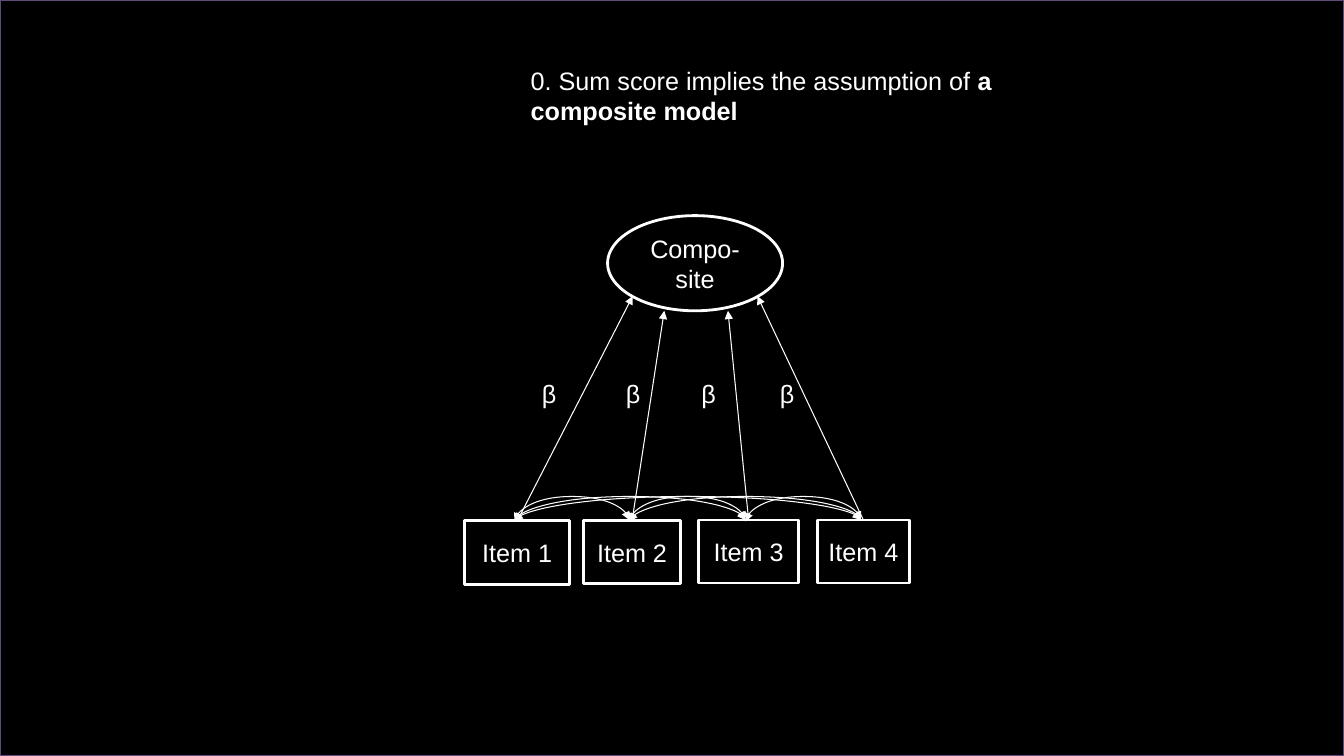
from itertools import combinations

from lxml.etree import SubElement
from pptx import Presentation
from pptx.dml.color import RGBColor
from pptx.enum.shapes import MSO_CONNECTOR, MSO_SHAPE
from pptx.enum.text import MSO_ANCHOR, MSO_AUTO_SIZE, PP_ALIGN
from pptx.oxml.ns import qn
from pptx.util import Pt

COLORS = {"back": "000000", "ink": "FFFFFF", "frame": "604A7B"}
FONT = "Arial"
WIDE, HIGH = 960, 540
ITEMS = [
    ("Item 1", 332, 372, 75, 45.5),
    ("Item 2", 417, 372, 69, 45),
    ("Item 3", 499, 371.5, 71.5, 45),
    ("Item 4", 584, 371.5, 65.5, 45),
]
TIPS = [(452, 211.5), (474.5, 222), (520, 222), (541, 211.5)]
BETAS = [380, 440, 494, 550]
FEET = [367.5, 449.5, 532.5, 615]
FOOT_TOP = 372
BEND = 18


def color(name):
    return RGBColor.from_string(COLORS[name])


def write(frame, *parts, align=PP_ALIGN.LEFT, size=18, ink="ink"):
    frame.word_wrap = True
    line = frame.paragraphs[0]
    line.alignment = align
    for text, bold in parts:
        run = line.add_run()
        run.text = text
        run.font.name = FONT
        run.font.size = Pt(size)
        run.font.bold = bold
        run.font.color.rgb = color(ink)


def add_box(slide, kind, left, top, width, height, text="", ink="ink"):
    box = slide.shapes.add_shape(kind, Pt(left), Pt(top), Pt(width), Pt(height))
    box.shadow.inherit = False
    box.fill.background()
    box.line.color.rgb = color(ink)
    box.line.width = Pt(2)
    if text:
        frame = box.text_frame
        frame.margin_left = frame.margin_right = Pt(5)
        frame.vertical_anchor = MSO_ANCHOR.MIDDLE
        write(frame, (text, False), align=PP_ALIGN.CENTER)
    return box


def add_label(slide, left, top, width, height, *parts):
    label = slide.shapes.add_textbox(Pt(left), Pt(top), Pt(width), Pt(height))
    write(label.text_frame, *parts)
    label.text_frame.auto_size = MSO_AUTO_SIZE.SHAPE_TO_FIT_TEXT


def style_line(link, *ends):
    link.line.color.rgb = color("ink")
    link.line.width = Pt(0.75)
    props = link._element.spPr
    for end in ends:
        SubElement(props.find(qn("a:ln")), qn(end), type="triangle")
    SubElement(props, qn("a:effectLst"))


def add_arrow(slide, item, tip):
    x, y = map(Pt, tip)
    arrow = slide.shapes.add_connector(MSO_CONNECTOR.STRAIGHT, x, y, x, y)
    arrow.begin_connect(item, 0)
    style_line(arrow, "a:tailEnd")


def add_curve(slide, start, end):
    span, mid = end - start, (start + end) / 2
    left, top = mid - 0.5, FOOT_TOP - span / 2
    curve = slide.shapes.add_connector(
        MSO_CONNECTOR.CURVE, Pt(left), Pt(top), Pt(left + 1), Pt(top + span))
    props = curve._element.spPr
    place = props.find(qn("a:xfrm"))
    for key, value in (("rot", "5400000"), ("flipH", "1"), ("flipV", "1")):
        place.set(key, value)
    guides = props.find(qn("a:prstGeom")).find(qn("a:avLst"))
    SubElement(guides, qn("a:gd"), name="adj1", fmla=f"val {BEND * 100000}")
    style_line(curve, "a:headEnd", "a:tailEnd")


def main():
    deck = Presentation()
    deck.slide_width, deck.slide_height = Pt(WIDE), Pt(HIGH)
    slide = deck.slides.add_slide(deck.slide_layouts[6])
    fill = slide.background.fill
    fill.solid()
    fill.fore_color.rgb = color("back")
    add_box(slide, MSO_SHAPE.RECTANGLE, 0, 0, WIDE, HIGH, ink="frame")

    items = [add_box(slide, MSO_SHAPE.RECTANGLE, *place, text=text)
             for text, *place in ITEMS]
    add_box(slide, MSO_SHAPE.OVAL, 434, 154, 125, 68, "Compo-site")
    for item, tip in zip(items, TIPS):
        add_arrow(slide, item, tip)
    for left in BETAS:
        add_label(slide, left, 267, 56, 29, ("β", False))
    for start, end in combinations(FEET, 2):
        add_curve(slide, start, end)
    add_label(slide, 372, 43, 384, 51,
              ("0. Sum score implies the assumption of ", False),
              ("a composite model", True))
    deck.save("out.pptx")


if __name__ == "__main__":
    main()
